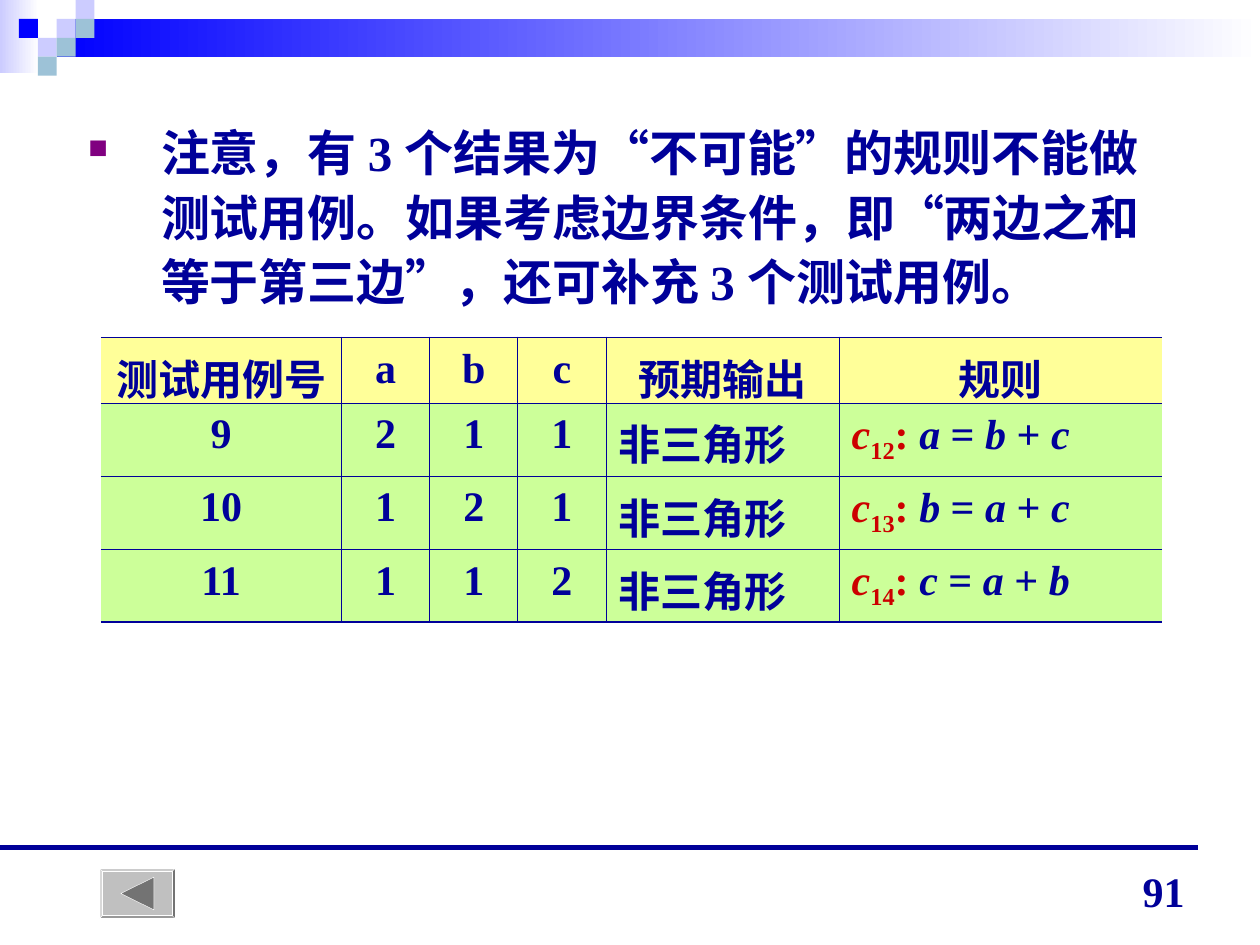
from lxml import etree
from pptx import Presentation
from pptx import util as u
from pptx.dml.color import RGBColor
from pptx.enum import dml, lang, shapes, text
from pptx.oxml import parse_xml
from pptx.oxml.ns import nsdecls, qn

COLORS = {
    "navy": "000099", "blue": "0000FF", "lilac": "CCCCFF", "teal": "9DC2D7",
    "white": "FFFFFF", "purple": "800080", "red": "CC0000",
    "header": "FFFF99", "body": "CCFF99", "button": "C0C0C0", "arrow": "737373",
}
RGB = {name: RGBColor.from_string(value) for name, value in COLORS.items()}

presentation = Presentation()
presentation.slide_width, presentation.slide_height = u.Inches(10), u.Inches(7.5)
slide = presentation.slides.add_slide(presentation.slide_layouts[6])
W, H = presentation.slide_width, presentation.slide_height


def add_block(kind, left, top, width, height, color, fade=False):
    """Add a borderless shape, placed in shares of the slide's size."""
    shape = slide.shapes.add_shape(
        kind, int(left * W), int(top * H), int(width * W), int(height * H))
    shape.shadow.inherit = False
    shape.line.fill.background()
    if fade:
        shape.fill.gradient()
        shape.fill.gradient_angle = 0
        for stop, name in zip(shape.fill.gradient_stops, (color, "white")):
            stop.color.rgb = RGB[name]
    else:
        shape.fill.solid()
        shape.fill.fore_color.rgb = RGB[color]
    return shape


def add_run(paragraph, words, size, color="navy", italic=False, baseline=0):
    """Add a bold run in the slide's font."""
    run = paragraph.add_run()
    run.text = words
    settings = {"name": "Times New Roman", "size": u.Pt(size), "bold": True,
                "italic": italic, "language_id": lang.MSO_LANGUAGE_ID.SIMPLIFIED_CHINESE}
    for name, value in settings.items():
        setattr(run.font, name, value)
    run.font.color.rgb = RGB[color]
    if baseline:
        run.font._element.set("baseline", str(baseline * 1000))


# Header band: two fading bars and a mosaic of squares
RECT = shapes.MSO_SHAPE.RECTANGLE
add_block(RECT, 0, 0, 0.031, 0.077, "lilac", fade=True)
add_block(RECT, 0.045, 0.02, 0.955, 0.04, "blue", fade=True)
MOSAIC = [(3, 1, "lilac"), (4, 0, "lilac"), (4, 1, "teal"), (2, 2, "lilac"),
          (1, 1, "blue"), (3, 2, "teal"), (2, 3, "teal")]
for column, row, color in MOSAIC:
    add_block(RECT, column * 0.015, row * 0.02, 0.015, 0.02, color)

# Footer rule
rule = slide.shapes.add_connector(
    shapes.MSO_CONNECTOR.STRAIGHT, 0, int(0.897 * H), int(0.951 * W), int(0.897 * H))
rule.line.width = u.Pt(3.25)
rule.line.color.rgb = RGB["navy"]
etree.SubElement(rule._element.spPr, qn("a:effectLst"))

# Bulleted note
note = slide.shapes.add_textbox(int(0.06 * W), int(0.117 * H), int(0.892 * W), int(0.24 * H))
note.text_frame.word_wrap = True
paragraph = note.text_frame.paragraphs[0]
properties = paragraph._p.get_or_add_pPr()
properties.set("marL", str(u.Inches(0.58)))
properties.set("indent", str(u.Inches(-0.58)))
for xml in (f'<a:buClr {nsdecls("a")}><a:srgbClr val="{COLORS["purple"]}"/></a:buClr>',
            f'<a:buSzPct {nsdecls("a")} val="55000"/>',
            f'<a:buChar {nsdecls("a")} char="■"/>'):
    properties.append(parse_xml(xml))
paragraph.line_spacing = 1.1
add_run(paragraph, "注意，有 3 个结果为“不可能”的规则不能做测试用例。"
        "如果考虑边界条件，即“两边之和等于第三边”，还可补充 3 个测试用例。", 28)

# Test case table; the last column holds rule number and equation
ROWS = [
    ["测试用例号", "a", "b", "c", "预期输出", "规则"],
    ["9", "2", "1", "1", "非三角形", ("12", "a", "b", "c")],
    ["10", "1", "2", "1", "非三角形", ("13", "b", "a", "c")],
    ["11", "1", "1", "2", "非三角形", ("14", "c", "a", "b")],
]
COLUMN_WIDTHS = [1.91, 0.7, 0.7, 0.7, 1.85, 2.56]
ROW_HEIGHTS = [0.52, 0.58, 0.58, 0.58]
table = slide.shapes.add_table(
    len(ROWS), len(COLUMN_WIDTHS), int(0.08 * W), int(0.357 * H),
    u.Inches(sum(COLUMN_WIDTHS)), u.Inches(sum(ROW_HEIGHTS))).table
table.first_row = table.horz_banding = False
for column, width in zip(table.columns, COLUMN_WIDTHS):
    column.width = u.Inches(width)
for row, height in zip(table.rows, ROW_HEIGHTS):
    row.height = u.Inches(height)

last_row, last_column = len(ROWS) - 1, len(COLUMN_WIDTHS) - 1
for r, values in enumerate(ROWS):
    for c, value in enumerate(values):
        cell = table.cell(r, c)
        cell.fill.solid()
        cell.fill.fore_color.rgb = RGB["body" if r else "header"]
        paragraph = cell.text_frame.paragraphs[0]
        paragraph.line_spacing = 1.05
        if r == 0 or c < 4:
            paragraph.alignment = text.PP_ALIGN.CENTER
        if isinstance(value, tuple):
            number, result, first, second = value
            add_run(paragraph, "c", 24, "red", italic=True)
            add_run(paragraph, number, 24, "red", baseline=-25)
            add_run(paragraph, ": ", 24, "red")
            for words in (result, " = ", first, " + ", second):
                add_run(paragraph, words, 24, italic=words.isalpha())
        else:
            add_run(paragraph, value, 24)

        # Borders: open at the sides, heavier at top and bottom
        edges = {"lnL": 0.45 if c else 0, "lnR": 0.45 if c < last_column else 0,
                 "lnT": 0.45 if r else 1.08, "lnB": 0.45 if r < last_row else 1.08}
        for place, (edge, points) in enumerate(edges.items()):
            paint = (f'<a:solidFill><a:srgbClr val="{COLORS["navy"]}"/></a:solidFill>'
                     if points else "<a:noFill/>")
            cell._tc.get_or_add_tcPr().insert(place, parse_xml(
                f'<a:{edge} {nsdecls("a")} w="{u.Pt(points)}">{paint}</a:{edge}>'))

# Back button
button = add_block(shapes.MSO_SHAPE.BEVEL, 0.079, 0.919, 0.06, 0.053, "button")
button.adjustments[0] = 0.06
arrow = add_block(shapes.MSO_SHAPE.ISOSCELES_TRIANGLE, 0.096, 0.928, 0.026, 0.035, "arrow")
arrow.rotation = 270
for shape in (button, arrow):
    shape.line.color.rgb = RGB["white"]
    shape.line.width = u.Pt(0.25)

# Page number
number_box = slide.shapes.add_textbox(
    int(0.717 * W), int(0.909 * H), int(0.233 * W), int(0.067 * H))
number_box.text_frame.word_wrap = True
number_box.text_frame.vertical_anchor = text.MSO_ANCHOR.BOTTOM
paragraph = number_box.text_frame.paragraphs[0]
paragraph.alignment = text.PP_ALIGN.RIGHT
add_run(paragraph, "91", 24)

presentation.save("out.pptx")
